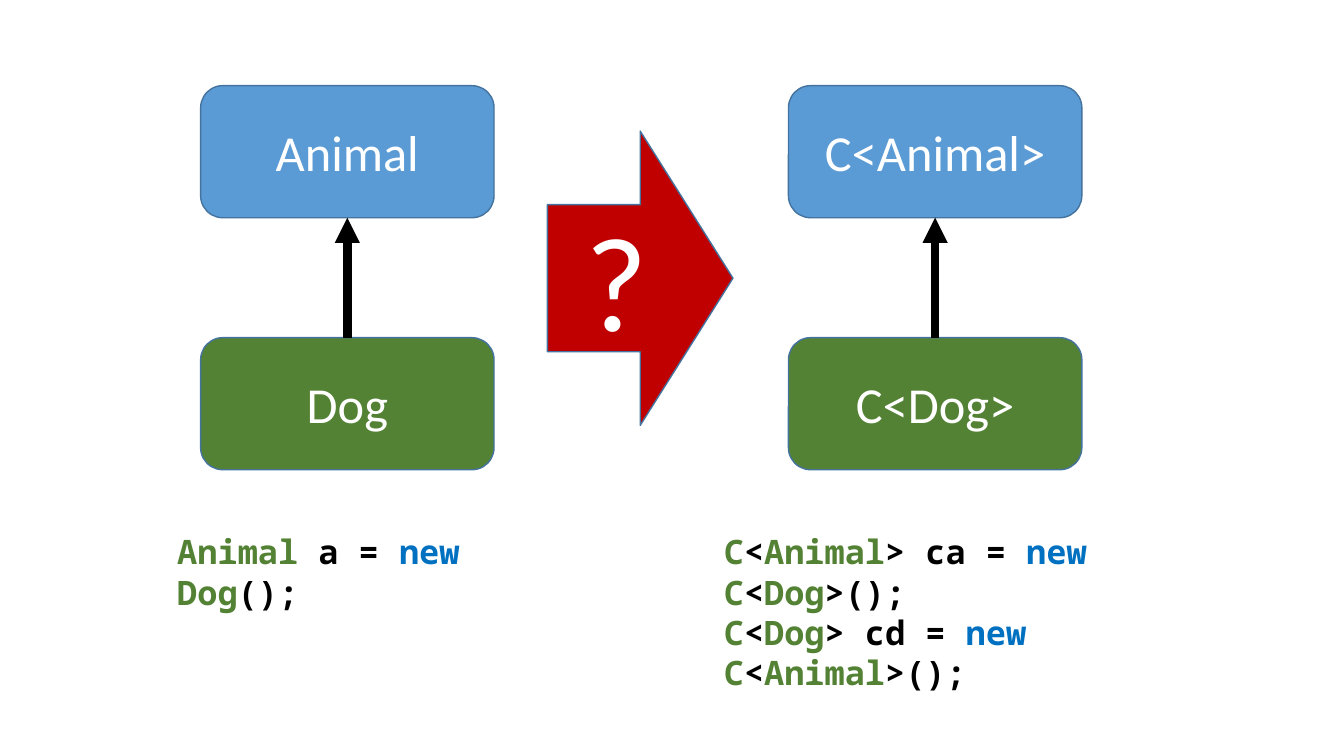
from pptx import Presentation
from pptx.dml.color import RGBColor
from pptx.enum.shapes import MSO_CONNECTOR as LINE, MSO_SHAPE as SHAPE
from pptx.enum.text import MSO_ANCHOR as ANCHOR, PP_ALIGN as ALIGN
from pptx.oxml.ns import qn
from pptx.util import Inches, Pt
from lxml.etree import SubElement

BLUE, GREEN, RED, OUTLINE = "5B9BD5", "548235", "C00000", "43739E"
BLACK, WHITE, KEYWORD = "000000", "FFFFFF", "0070C0"
TOKEN_COLOURS = {"new": KEYWORD, "Animal": GREEN, "Dog": GREEN, "C": GREEN}
CLASS_HEIGHT = 1.31


def colour(value):
    return RGBColor.from_string(value)


def format_span(span, font, size, value, bold=False):
    span.font.name = font
    span.font.size = Pt(size)
    span.font.bold = bold
    span.font.color.rgb = colour(value)


def add_block(page, preset, box, text, fill, size):
    """Filled shape with one centred label."""
    block = page.shapes.add_shape(preset, *map(Inches, box))
    block.shadow.inherit = False
    block.fill.solid()
    block.fill.fore_color.rgb = colour(fill)
    block.line.color.rgb = colour(OUTLINE)
    block.line.width = Pt(1)
    frame = block.text_frame
    frame.text = text
    frame.vertical_anchor = ANCHOR.MIDDLE
    para = frame.paragraphs[0]
    para.alignment = ALIGN.CENTER
    format_span(para.runs[0], "Calibri", size, WHITE)


def add_arrow(page, x, start, end):
    arrow = page.shapes.add_connector(
        LINE.STRAIGHT, Inches(x), Inches(start), Inches(x), Inches(end))
    arrow.line.color.rgb = colour(BLACK)
    arrow.line.width = Pt(6)
    SubElement(arrow.line._get_or_add_ln(), qn("a:tailEnd"), type="triangle")
    SubElement(arrow._element.spPr, qn("a:effectLst"))


def add_hierarchy(page, box, parent, child):
    """Parent class at the top of the box, child at the bottom, arrow between."""
    left, top, width, height = box
    child_top = top + height - CLASS_HEIGHT
    for text, y, fill in ((parent, top, BLUE), (child, child_top, GREEN)):
        add_block(page, SHAPE.ROUNDED_RECTANGLE,
                  (left, y, width, CLASS_HEIGHT), text, fill, 36)
    add_arrow(page, left + width / 2, child_top, top + CLASS_HEIGHT)


def add_code(page, box, lines):
    """Highlighted code; a bar separates the tokens of a line."""
    frame = page.shapes.add_textbox(*map(Inches, box)).text_frame
    frame.word_wrap = True
    for index, line in enumerate(lines):
        para = frame.add_paragraph() if index else frame.paragraphs[0]
        for token in line.split("|"):
            span = para.add_run()
            span.text = token
            format_span(span, "Noto Sans Mono", 24,
                        TOKEN_COLOURS.get(token.strip(), BLACK), bold=True)


deck = Presentation()
deck.slide_width, deck.slide_height = Inches(13.33), Inches(7.5)
page = deck.slides.add_slide(deck.slide_layouts[6])

# Class hierarchies and the question between them
add_hierarchy(page, (1.99, 0.85, 2.91, 3.81), "Animal", "Dog")
add_hierarchy(page, (7.82, 0.85, 2.91, 3.81), "C<Animal>", "C<Dog>")
add_block(page, SHAPE.RIGHT_ARROW, (5.43, 1.3, 1.84, 2.92), "?", RED, 96)

# Code examples
add_code(page, (1.66, 5.22, 4.1, 0.5), ["Animal| a = |new |Dog|();"])
add_code(page, (7.08, 5.22, 5.41, 0.91), [
    "C|<|Animal|> ca = |new |C|<|Dog|>();",
    "C|<|Dog|> cd = |new |C|<|Animal|>();",
])

deck.save("out.pptx")
